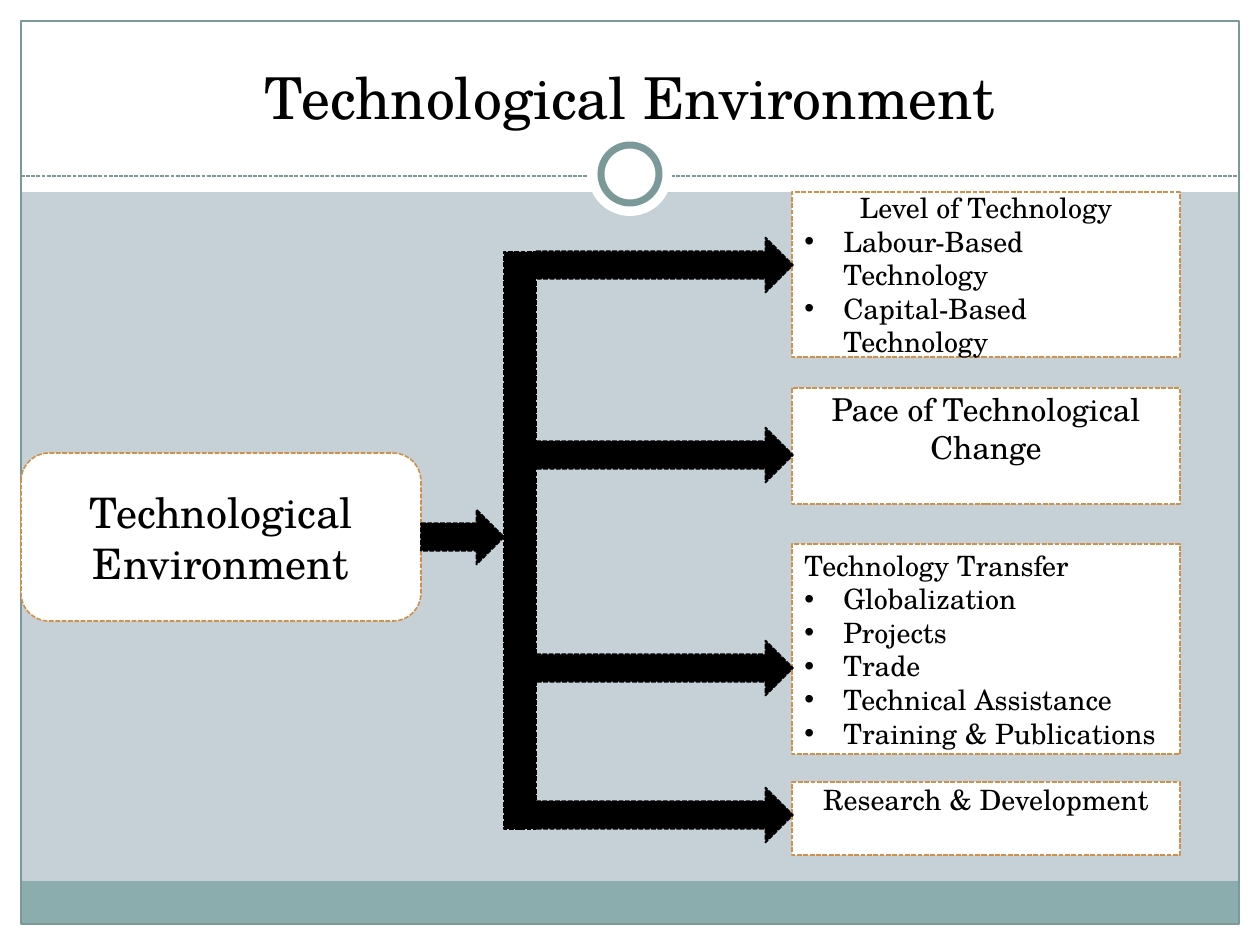
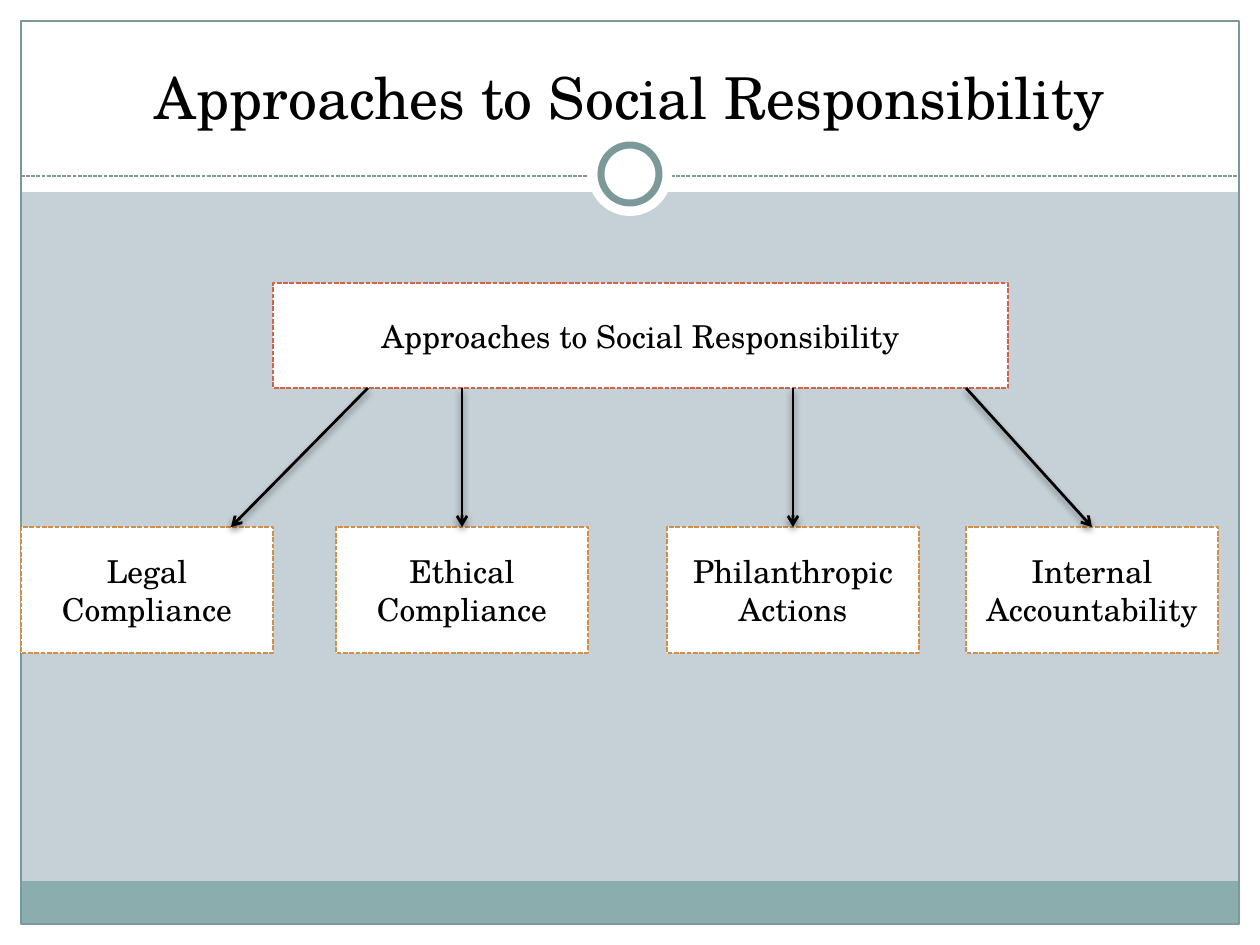
from lxml.etree import SubElement
from pptx import Presentation
from pptx.dml.color import RGBColor
from pptx.enum.dml import MSO_LINE
from pptx.enum.shapes import MSO_CONNECTOR, MSO_SHAPE
from pptx.enum.text import MSO_ANCHOR, PP_ALIGN
from pptx.oxml import parse_xml
from pptx.oxml.ns import nsdecls, qn
from pptx.util import Emu, Pt

PIXELS_PER_INCH = 126
WIDTH, HEIGHT = 1260, 945
MARGIN = 21
HEADER_HEIGHT = 192
FONT = "TeX Gyre Schola"
BLACK, WHITE = "000000", "FFFFFF"
BACKGROUND, FOOTER, RULE = "C5D1D7", "8CADAE", "7C999A"
ORANGE, RED = "D19049", "D16349"
BULLET_INDENT = 39


def px(length):
    return Emu(round(length * 914400 / PIXELS_PER_INCH))


def color(hex_value):
    return RGBColor.from_string(hex_value)


def set_line(line, hex_value, width, dashed=False):
    line.color.rgb = color(hex_value)
    line.width = Pt(width)
    if dashed:
        line.dash_style = MSO_LINE.SQUARE_DOT
        line.fill.solid()
        line.color.rgb = color(hex_value)


def add_shape(slide, kind, box, fill=None, line=None, width=0.9, dashed=True):
    shape = slide.shapes.add_shape(kind, *map(px, box))
    shape.shadow.inherit = False
    if fill:
        shape.fill.solid()
        shape.fill.fore_color.rgb = color(fill)
    else:
        shape.fill.background()
    if line:
        set_line(shape.line, line, width, dashed)
    else:
        shape.line.fill.background()
    return shape


def add_line(slide, start, end, hex_value, width, dashed=False):
    """Add a straight connector without the theme shadow."""
    line = slide.shapes.add_connector(
        MSO_CONNECTOR.STRAIGHT, *map(px, (*start, *end)))
    set_line(line.line, hex_value, width, dashed)
    SubElement(line.element.spPr, qn("a:effectLst"))
    return line


def add_run(paragraph, text, size):
    run = paragraph.add_run()
    run.text = text
    run.font.name = FONT
    run.font.size = Pt(size)
    run.font.color.rgb = color(BLACK)


def add_bullet(paragraph):
    properties = paragraph._p.get_or_add_pPr()
    properties.set("marL", str(px(BULLET_INDENT)))
    properties.set("indent", str(-px(BULLET_INDENT)))
    SubElement(properties, qn("a:buFont")).set("typeface", "Arial")
    SubElement(properties, qn("a:buChar")).set("char", "•")


def add_label(slide, box, heading, size, bullets=(), line=ORANGE,
              kind=MSO_SHAPE.RECTANGLE, align=PP_ALIGN.CENTER, top_inset=None):
    """Add a dashed white box; a top inset moves its text to the top."""
    shape = add_shape(slide, kind, box, WHITE, line)
    frame = shape.text_frame
    frame.word_wrap = True
    frame.vertical_anchor = MSO_ANCHOR.MIDDLE
    if top_inset is not None:
        frame.vertical_anchor = MSO_ANCHOR.TOP
        frame.margin_top = px(top_inset)
    frame.paragraphs[0].alignment = align
    add_run(frame.paragraphs[0], heading, size)
    for bullet in bullets:
        paragraph = frame.add_paragraph()
        add_bullet(paragraph)
        paragraph.alignment = PP_ALIGN.LEFT
        add_run(paragraph, bullet, size)


def add_ring(slide, left, top, size):
    inset = 13
    add_shape(slide, MSO_SHAPE.OVAL, (left, top, size, size), WHITE)
    add_shape(slide, MSO_SHAPE.OVAL,
              (left + inset, top + inset, size - 2 * inset, size - 2 * inset),
              WHITE, RULE, 4, False)


def build_frame(slide):
    """Draw the bands, border and ring, and move them to the slide's layout."""
    first = len(slide.shapes)
    right, bottom = WIDTH - MARGIN, HEIGHT - MARGIN
    footer_height = 43
    bands = [
        ((0, bottom, WIDTH, MARGIN), WHITE),
        ((0, 0, WIDTH, HEADER_HEIGHT), WHITE),
        ((0, 0, MARGIN, HEIGHT), WHITE),
        ((right, 0, MARGIN, HEIGHT), WHITE),
        ((MARGIN, bottom - footer_height, right - MARGIN, footer_height), FOOTER),
    ]
    for box, fill in bands:
        add_shape(slide, MSO_SHAPE.RECTANGLE, box, fill)
    add_shape(slide, MSO_SHAPE.RECTANGLE,
              (MARGIN, MARGIN, right - MARGIN, bottom - MARGIN),
              None, RULE, 0.75, False)
    add_line(slide, (MARGIN, 176), (right, 176), RULE, 0.75, True)
    add_ring(slide, 588, 132, 84)

    layout = slide.slide_layout
    layout.background.fill.solid()
    layout.background.fill.fore_color.rgb = color(BACKGROUND)
    for number, shape in enumerate(list(slide.shapes)[first:], start=20):
        shape.element.xpath(".//p:cNvPr")[0].set("id", str(number))
        layout.shapes.element.append(shape.element)


def add_titled_slide(presentation, text):
    slide = presentation.slides.add_slide(presentation.slide_layouts[5])
    title = slide.shapes.title
    title.left, title.top, title.width, title.height = map(px, (42, 32, 1176, 105))
    frame = title.text_frame
    frame.word_wrap = True
    frame.vertical_anchor = MSO_ANCHOR.BOTTOM
    frame.paragraphs[0].alignment = PP_ALIGN.CENTER
    add_run(frame.paragraphs[0], text, 33)
    return slide


def add_block_arrow(slide, left, middle, width):
    height = 55
    add_shape(slide, MSO_SHAPE.RIGHT_ARROW,
              (left, middle - height / 2, width, height), BLACK, BLACK)


def build_factor_tree(slide, left, top):
    """Root box, spine and arrows, leading to a column of factor boxes."""
    root_top, root_width, root_height = top + 261, 400, 168
    spine_left, spine_width = left + 483, 32
    factor_left, factor_width = left + 771, 388

    factors = [
        (0, 165, "Level of Technology", 16,
         {"bullets": ["Labour-Based Technology", "Capital-Based Technology"]}),
        (196, 116, "Pace of Technological Change", 18, {"top_inset": 2}),
        (352, 210, "Technology Transfer", 16,
         {"bullets": ["Globalization", "Projects", "Trade",
                      "Technical Assistance", "Training & Publications"],
          "align": PP_ALIGN.LEFT}),
        (590, 73, "Research & Development", 16, {"top_inset": 1}),
    ]
    add_label(slide, (left, root_top, root_width, root_height),
              "Technological Environment", 24,
              kind=MSO_SHAPE.FLOWCHART_ALTERNATE_PROCESS)
    for offset, height, heading, size, options in factors:
        add_label(slide, (factor_left, top + offset, factor_width, height),
                  heading, size, **options)

    add_shape(slide, MSO_SHAPE.RECTANGLE,
              (spine_left, top + 60, spine_width, 577), BLACK, BLACK)
    root_right = left + root_width
    add_block_arrow(slide, root_right, root_top + root_height / 2,
                    spine_left - root_right)
    branch_left = spine_left + spine_width
    for middle in (73, 263, 476, 623):
        add_block_arrow(slide, branch_left, top + middle,
                        factor_left + 1 - branch_left)


def add_shadowed_arrow(slide, start, end):
    arrow = add_line(slide, start, end, BLACK, 1.57)
    SubElement(arrow.line._get_or_add_ln(), qn("a:tailEnd")).set("type", "arrow")
    arrow.element.spPr.find(qn("a:effectLst")).append(parse_xml(
        f'<a:outerShdw {nsdecls("a")} blurRad="{Pt(4)}" dist="{Pt(2)}" '
        'dir="5400000" rotWithShape="0"><a:srgbClr val="000000">'
        '<a:alpha val="45000"/></a:srgbClr></a:outerShdw>'))


def build_approach_tree(slide, left, top):
    """Heading box with arrows down to a row of approaches."""
    heading_height, row_offset = 105, 244
    approaches = [
        (0, "Legal Compliance", 347, 210),
        (315, "Ethical Compliance", 441, 441),
        (646, "Philanthropic Actions", 772, 772),
        (945, "Internal Accountability", 945, 1071),
    ]
    add_label(slide, (left + 252, top, 735, heading_height),
              "Approaches to Social Responsibility", 18, line=RED)
    for offset, text, _, _ in approaches:
        add_label(slide, (left + offset, top + row_offset, 252, 126), text, 18)
    for _, _, start, end in approaches:
        add_shadowed_arrow(slide, (left + start, top + heading_height),
                           (left + end, top + row_offset))


def main():
    presentation = Presentation()
    presentation.slide_width, presentation.slide_height = px(WIDTH), px(HEIGHT)

    environment = add_titled_slide(presentation, "Technological Environment")
    build_frame(environment)
    build_factor_tree(environment, MARGIN, HEADER_HEIGHT)

    responsibility = add_titled_slide(
        presentation, "Approaches to Social Responsibility")
    build_approach_tree(responsibility, MARGIN, 283)

    presentation.save("out.pptx")


if __name__ == "__main__":
    main()
